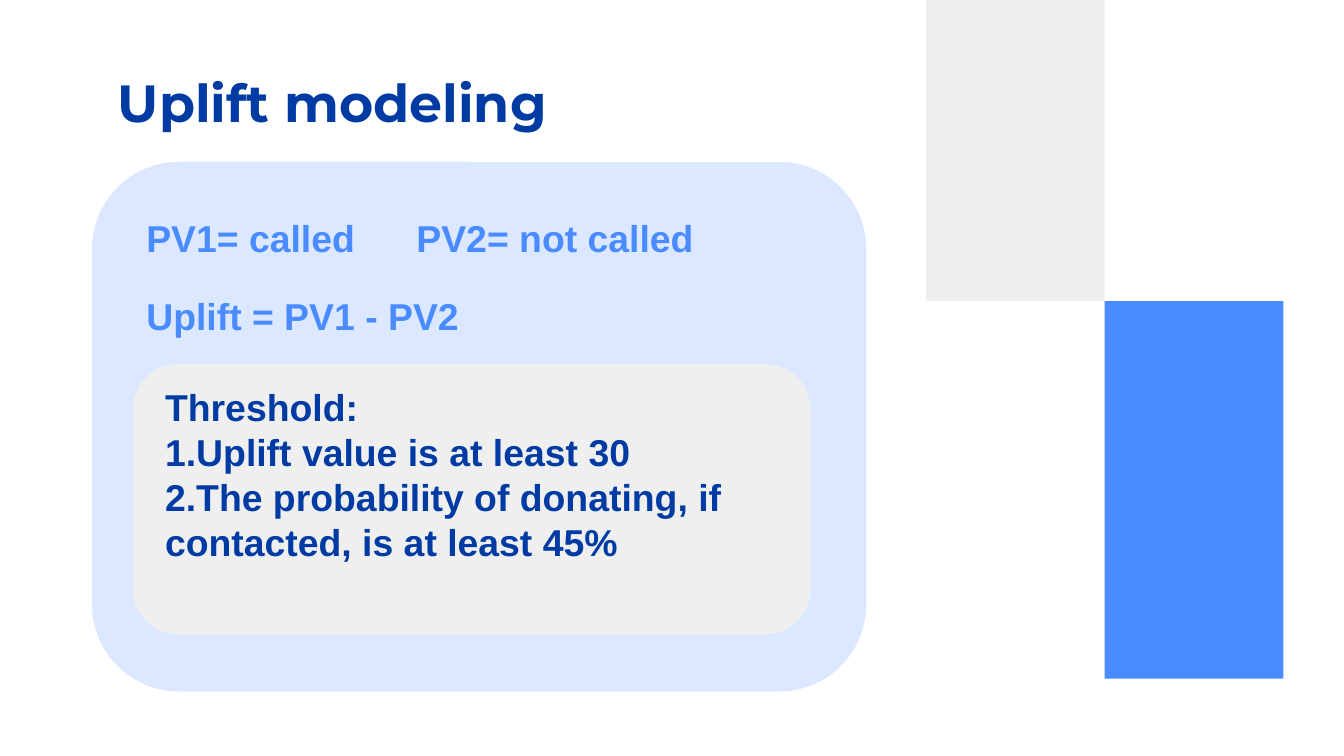
"""Build the uplift modeling slide with its formula panel and threshold card."""
from dataclasses import dataclass

from pptx import Presentation
from pptx.dml.color import RGBColor
from pptx.enum.shapes import MSO_SHAPE
from pptx.slide import Slide
from pptx.util import Inches, Pt

RECTANGLE = MSO_SHAPE.RECTANGLE
ROUNDED = MSO_SHAPE.ROUNDED_RECTANGLE


@dataclass(frozen=True)
class Theme:
    navy: str = "003BA3"
    blue: str = "4A8CFF"
    pale_blue: str = "DBE8FF"
    gray: str = "EFEFEF"
    white: str = "FFFFFF"
    title_font: str = "Montserrat"
    body_font: str = "Arial"
    title_size: int = 28
    body_size: int = 20


THEME = Theme()


@dataclass(frozen=True)
class Box:
    left: float
    top: float
    width: float
    height: float

    def lengths(self) -> tuple:
        return tuple(Inches(value) for value in (self.left, self.top, self.width, self.height))


@dataclass(frozen=True)
class Panel:
    box: Box
    fill: str
    kind: MSO_SHAPE = RECTANGLE
    outline: str = ""


@dataclass(frozen=True)
class Label:
    box: Box
    lines: tuple[str, ...]
    color: str = THEME.blue
    font: str = THEME.body_font
    size: int = THEME.body_size
    vertical_inset: float = 0.05


PANELS = (
    Panel(Box(8.22, 2.24, 1.33, 2.81), THEME.blue),
    Panel(Box(6.89, 0, 1.33, 2.24), THEME.gray),
    Panel(Box(0.67, 1.19, 5.79, 3.97), THEME.pale_blue, ROUNDED, THEME.white),
    Panel(Box(0.99, 2.71, 5.04, 2.01), THEME.gray, ROUNDED),
)

LABELS = (
    Label(Box(0.78, 0.42, 8.44, 0.63), ("Uplift modeling",), THEME.navy,
          THEME.title_font, THEME.title_size, 0.1),
    Label(Box(0.99, 1.55, 2.26, 0.44), ("PV1= called",)),
    Label(Box(3, 1.55, 2.8, 0.44), ("PV2= not called",)),
    Label(Box(0.99, 2.13, 5.22, 0.34), ("Uplift = PV1 - PV2",)),
    Label(Box(1.13, 2.81, 5.22, 1.45), (
        "Threshold:",
        "1.Uplift value is at least 30",
        "2.The probability of donating, if contacted, is at least 45%",
    ), THEME.navy),
)


def draw_panel(slide: Slide, panel: Panel) -> None:
    shape = slide.shapes.add_shape(panel.kind, *panel.box.lengths())
    shape.shadow.inherit = False
    shape.fill.solid()
    shape.fill.fore_color.rgb = RGBColor.from_string(panel.fill)
    if panel.outline:
        shape.line.color.rgb = RGBColor.from_string(panel.outline)
        shape.line.width = Pt(2)
    else:
        shape.line.fill.background()


def draw_label(slide: Slide, label: Label) -> None:
    frame = slide.shapes.add_textbox(*label.box.lengths()).text_frame
    frame.word_wrap = True
    frame.margin_top = frame.margin_bottom = Inches(label.vertical_inset)
    frame.text = "\n".join(label.lines)
    for paragraph in frame.paragraphs:
        paragraph.font.name = label.font
        paragraph.font.size = Pt(label.size)
        paragraph.font.bold = True
        paragraph.font.color.rgb = RGBColor.from_string(label.color)


def main() -> None:
    presentation = Presentation()
    presentation.slide_width = Inches(10)
    presentation.slide_height = Inches(10) * 9 // 16
    slide = presentation.slides.add_slide(presentation.slide_layouts[6])
    for panel in PANELS:
        draw_panel(slide, panel)
    for label in LABELS:
        draw_label(slide, label)
    presentation.save("out.pptx")


if __name__ == "__main__":
    main()
